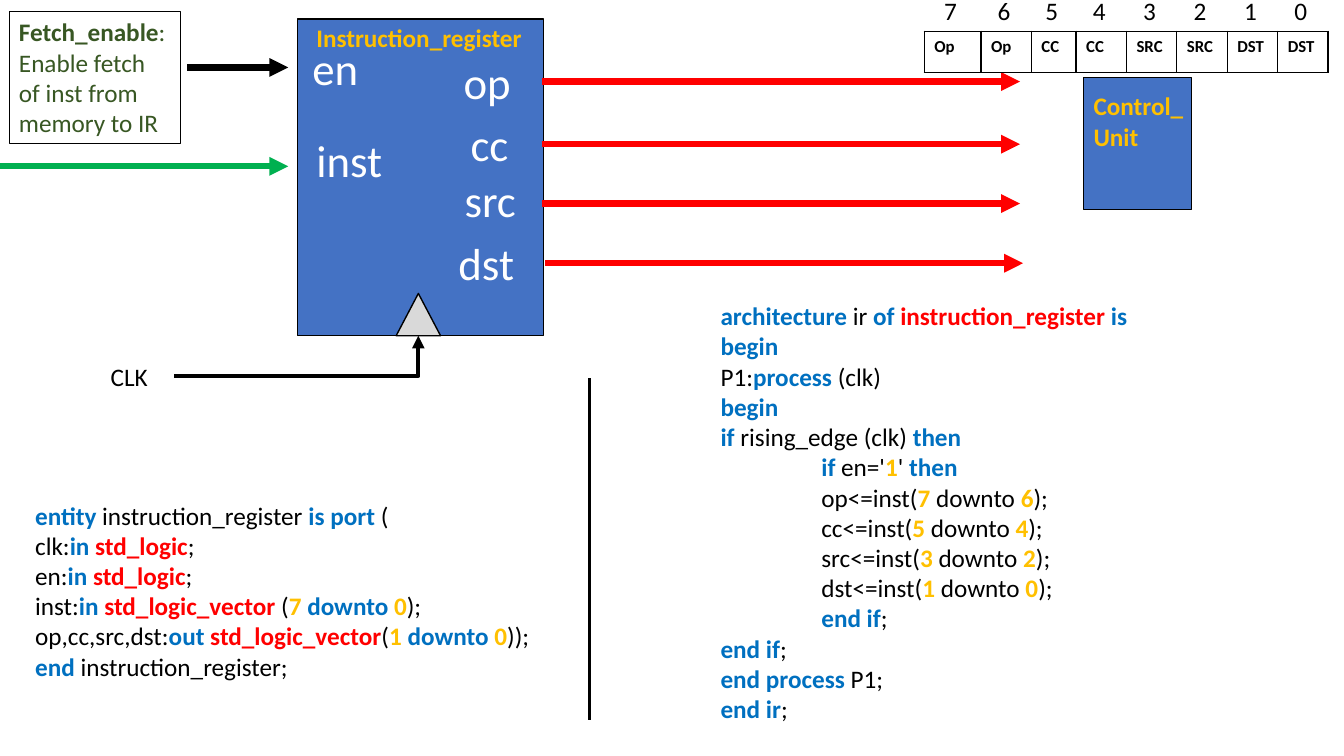
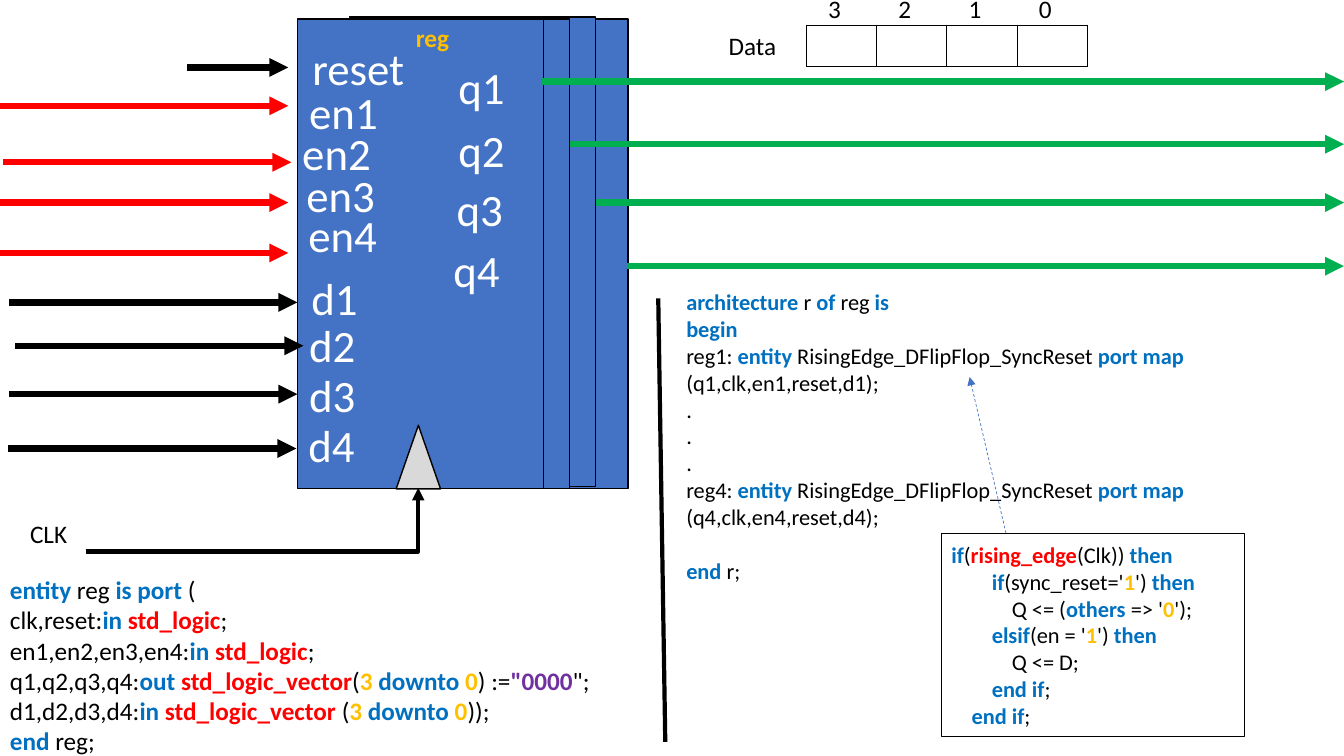
import dataclasses
import itertools

import pptx
import pptx.dml.color
import pptx.enum.dml
import pptx.enum.shapes
import pptx.enum.text
import pptx.oxml
import pptx.oxml.ns
import pptx.util

Pt = pptx.util.Pt
SHAPE = pptx.enum.shapes.MSO_SHAPE
ALIGN = pptx.enum.text.PP_ALIGN
ANCHOR = pptx.enum.text.MSO_ANCHOR


@dataclasses.dataclass(frozen=True)
class Theme:
    font: str = "Calibri"
    cell_size: float = 12
    code_size: float = 16
    text_size: float = 18
    port_size: float = 32
    black: str = "000000"
    white: str = "FFFFFF"
    block: str = "4472C4"
    clock: str = "D9D9D9"
    control: str = "FF0000"
    data: str = "00B050"
    keyword: str = "0070C0"
    literal: str = "FFC000"
    string: str = "7030A0"
    note: str = "385723"


THEME = Theme()
MARKS = {
    "*": (THEME.keyword, True),
    "^": (THEME.control, True),
    "#": (THEME.literal, True),
    "%": (THEME.string, True),
    "@": (THEME.note, True),
    "~": (THEME.note, False),
}
REGISTER = {"left": 212.4, "top": 13.7, "width": 175.7}
CLOCK = {"inset": 70.6, "width": 31.7}
TAB = 72

IR_ENTITY = [
    "*entity *instruction_register *is port* (",
    "clk:*in *^std_logic^;",
    "en:*in *^std_logic^;",
    "inst:*in *^std_logic_vector ^(#7 #*downto *#0#);",
    "op,cc,src,dst:*out *^std_logic_vector^(#1 #*downto *#0#));",
    "*end *instruction_register;",
]
IR_ARCHITECTURE = [
    "*architecture *ir *of *^instruction_register ^*is*",
    "*begin*",
    "P1:*process* (clk)",
    "*begin*",
    "*if *rising_edge (clk) *then*",
    ">*if* en='#1#' *then*",
    ">op<=inst(#7 #downto #6#);",
    ">cc<=inst(#5 #downto #4#);",
    ">src<=inst(#3 #downto #2#);",
    ">dst<=inst(#1 #downto #0#);",
    ">*end if*;",
    "*end if*;",
    "*end process* P1;",
    "*end ir*;",
]
REG_ENTITY = [
    "*entity* reg *is port* (",
    "clk,reset:*in *^std_logic^;",
    "en1,en2,en3,en4:*in *^std_logic^;",
    'q1,q2,q3,q4:*out *^std_logic_vector^(#3 #*downto *#0#) :=%"0000%";',
    "d1,d2,d3,d4:*in *^std_logic_vector ^(#3 #*downto *#0#));",
    "*end* reg;",
]
REG_ARCHITECTURE = [
    "*architecture* r *of* reg *is*",
    "*begin*",
    "reg1: *entity *RisingEdge_DFlipFlop_SyncReset *port map* (q1,clk,en1,reset,d1);",
    ".",
    ".",
    ".",
    "reg4: *entity *RisingEdge_DFlipFlop_SyncReset *port map* (q4,clk,en4,reset,d4);",
    "*end* r;",
]
FLIP_FLOP = [
    "*if*(^rising_edge^(Clk)) *then*",
    "        *if*(sync_reset='#1#') *then*",
    "            Q <= (*others* => '#0#');",
    "        *elsif*(en = '#1#') *then*",
    "            Q <= D;",
    "        *end if*;",
    "    *end if*;",
]


def rgb(value):
    return pptx.dml.color.RGBColor.from_string(value)


def split_marks(line, color):
    style, start = "", 0
    for i, ch in enumerate(line + "*"):
        if ch in MARKS and (i == len(line) or ch == style or not style):
            if i > start:
                yield line[start:i], *MARKS.get(style, (color, False))
            style, start = ("" if ch == style else ch), i + 1


def write(tf, lines, size, color=THEME.black, align=ALIGN.LEFT):
    tf.word_wrap = True
    for i, line in enumerate(lines):
        p = tf.paragraphs[0] if i == 0 else tf.add_paragraph()
        p.alignment = align
        if line.startswith(">"):
            p._p.get_or_add_pPr().set("marL", str(Pt(TAB)))
        for text, ink, bold in split_marks(line.removeprefix(">"), color):
            r = p.add_run()
            r.text = text
            fmt = {"name": THEME.font, "size": Pt(size), "bold": bold}
            for key, value in fmt.items():
                setattr(r.font, key, value)
            r.font.color.rgb = rgb(ink)


def text(s, box, lines, size=THEME.text_size, **style):
    sp = s.shapes.add_textbox(*map(Pt, box))
    write(sp.text_frame, lines, size, **style)
    return sp


def shape(s, kind, box, fill=None, weight=1):
    sp = s.shapes.add_shape(kind, *map(Pt, box))
    sp.shadow.inherit = False
    if fill:
        sp.fill.solid()
        sp.fill.fore_color.rgb = rgb(fill)
    else:
        sp.fill.background()
    sp.line.color.rgb = rgb(THEME.black)
    sp.line.width = Pt(weight)
    return sp


def note(s, box, lines, size):
    sp = shape(s, SHAPE.RECTANGLE, box, weight=0.75)
    sp.text_frame.vertical_anchor = ANCHOR.MIDDLE
    write(sp.text_frame, lines, size)


def line(s, start, end, color=THEME.black, weight=4.5, head=True, bent=False, dash=False):
    kind = pptx.enum.shapes.MSO_CONNECTOR.STRAIGHT
    c = s.shapes.add_connector(kind, *map(Pt, (*start, *end)))
    c.line.color.rgb = rgb(color)
    c.line.width = Pt(weight)
    if dash:
        c.line.dash_style = pptx.enum.dml.MSO_LINE.DASH
    props = c._element.spPr
    if bent:
        props.find(pptx.oxml.ns.qn("a:prstGeom")).set("prst", "bentConnector2")
    if head:
        tail = pptx.oxml.parse_xml(f'<a:tailEnd {pptx.oxml.ns.nsdecls("a")} type="triangle"/>')
        c.line._get_or_add_ln().append(tail)
    props.append(pptx.oxml.parse_xml(f'<a:effectLst {pptx.oxml.ns.nsdecls("a")}/>'))


def arrows(s, spans, color):
    for x1, x2, y in spans:
        line(s, (x1, y), (x2, y), color)


def ports(s, labels):
    for label, x, y in labels:
        text(s, (x, y, 90, 46), [label], THEME.port_size, color=THEME.white)


def register(s, height, clock_height, title, align):
    left, top, width = REGISTER.values()
    shape(s, SHAPE.RECTANGLE, (left, top, width, height), THEME.block)
    clock = (left + CLOCK["inset"], top + height - clock_height, CLOCK["width"], clock_height)
    shape(s, SHAPE.ISOSCELES_TRIANGLE, clock, THEME.clock)
    text(s, (218.9, 12.2, 180, 29), [title], align=align)


def clock_input(s, label_at, start, tip):
    text(s, (*label_at, 62, 29), ["CLK"])
    line(s, start, tip, weight=3, bent=True)


def border(cell):
    props = cell._tc.get_or_add_tcPr()
    for i, side in enumerate(("lnL", "lnR", "lnT", "lnB")):
        props.insert(i, pptx.oxml.parse_xml(
            f'<a:{side} {pptx.oxml.ns.nsdecls("a")} w="{Pt(1)}"><a:solidFill>'
            f'<a:srgbClr val="{THEME.black}"/></a:solidFill></a:{side}>'))


def bit_table(s, left, top, widths, labels, bits_top, shift):
    size = map(Pt, (left, top, sum(widths), 29.5))
    table = s.shapes.add_table(1, len(widths), *size).table
    edges = itertools.accumulate(widths, initial=left)
    for i, (width, edge, label) in enumerate(zip(widths, edges, labels)):
        table.columns[i].width = Pt(width)
        cell = table.cell(0, i)
        cell.fill.solid()
        cell.fill.fore_color.rgb = rgb(THEME.white)
        border(cell)
        if label:
            write(cell.text_frame, [label], THEME.cell_size)
            cell.text_frame.paragraphs[0].runs[0].font.bold = True
        bit = str(len(widths) - 1 - i)
        text(s, (edge + shift, bits_top, width, 29), [bit], align=ALIGN.CENTER)


def instruction_slide(s):
    register(s, 226.1, 30.2, "#Instruction_register#", ALIGN.LEFT)
    ports(s, [("en", 216, 25.2), ("inst", 218.9, 91.4), ("op", 324, 35.3),
              ("cc", 329, 79.9), ("src", 324.7, 119.5), ("dst", 320.4, 164.9)])
    arrows(s, [(133.9, 205.9, 48.2)], THEME.black)
    arrows(s, [(0, 205.9, 118.8)], THEME.data)
    arrows(s, [(387.4, 728.6, 58.3), (387.4, 728.6, 103), (387.4, 728.6, 145.4),
               (389.5, 730.8, 188)], THEME.control)
    clock_input(s, (72, 254.2), (124.6, 268.6), (298.8, 239.8))
    line(s, (421.2, 270), (421.2, 514), weight=2.25, head=False)
    widths = [40.5, 36, 32, 36, 36, 36, 36, 36]
    labels = ["Op", "Op", "CC", "CC", "SRC", "SRC", "DST", "DST"]
    bit_table(s, 660.2, 22.3, widths, labels, -7.2, -1.5)
    shape(s, SHAPE.RECTANGLE, (774, 55.4, 77, 94.3), THEME.block)
    text(s, (774, 61.2, 90, 51), ["#Control_Unit#"])
    fetch = ["@Fetch_enable@~: Enable fetch of inst from memory to IR~"]
    note(s, (6.5, 7.9, 122.4, 94.3), fetch, THEME.text_size)
    text(s, (18, 353.5, 480, 138), IR_ENTITY)
    text(s, (507.6, 211, 480, 312), IR_ARCHITECTURE)


def register_slide(s):
    height = 335.5
    for left, top in ((272.9, 13.7), (249.8, 12.2), (231.1, 13.7)):
        shape(s, SHAPE.RECTANGLE, (left, top, REGISTER["width"], height), THEME.block)
    register(s, height, 45.4, "#reg#", ALIGN.CENTER)
    arrows(s, [(133.9, 205.9, 48.2), (6.5, 212.4, 216), (10.8, 216.7, 247),
               (6.5, 212.4, 281.5), (5.8, 211.7, 320.4)], THEME.black)
    arrows(s, [(0, 205.9, 75.6), (2.2, 208.1, 115.9), (0, 205.9, 144.7),
               (0, 205.9, 180.7)], THEME.control)
    arrows(s, [(387.4, 960, 58.3), (406.8, 960, 103), (425.5, 960, 144.7),
               (447.8, 960, 190.1)], THEME.data)
    ports(s, [("reset", 216, 25.2), ("en1", 213.8, 56.9), ("en2", 208.8, 86.4),
              ("en3", 211.7, 115.9), ("en4", 213.1, 144.7), ("d1", 215.3, 190.1),
              ("d2", 213.8, 223.2), ("d3", 213.8, 259.2), ("d4", 213.1, 294.5),
              ("q1", 320.4, 38.9), ("q2", 320.4, 84.2), ("q3", 319, 126),
              ("q4", 316.8, 169.9)])
    clock_input(s, (14.4, 366.5), (61.2, 394), (298.8, 348.5))
    line(s, (470.2, 213.1), (475.2, 529.9), weight=3, head=False)
    bit_table(s, 576, 18, [50.2] * 4, [""] * 4, -8.6, -5)
    text(s, (513.4, 18, 80, 29), ["Data"])
    text(s, (0, 406.8, 501, 138), REG_ENTITY)
    sp = text(s, (483.1, 202.3, 491, 220), REG_ARCHITECTURE, THEME.code_size)
    sp.text_frame.paragraphs[-1].space_before = Pt(19.5)
    line(s, (718.6, 380.9), (692.6, 269.3), THEME.block, 0.5, dash=True)
    note(s, (672.5, 380.9, 216.7, 145.4), FLIP_FLOP, THEME.code_size)


def main():
    prs = pptx.Presentation()
    prs.slide_width, prs.slide_height = Pt(960), Pt(540)
    for build in (instruction_slide, register_slide):
        build(prs.slides.add_slide(prs.slide_layouts[6]))
    prs.save("out.pptx")


if __name__ == "__main__":
    main()
